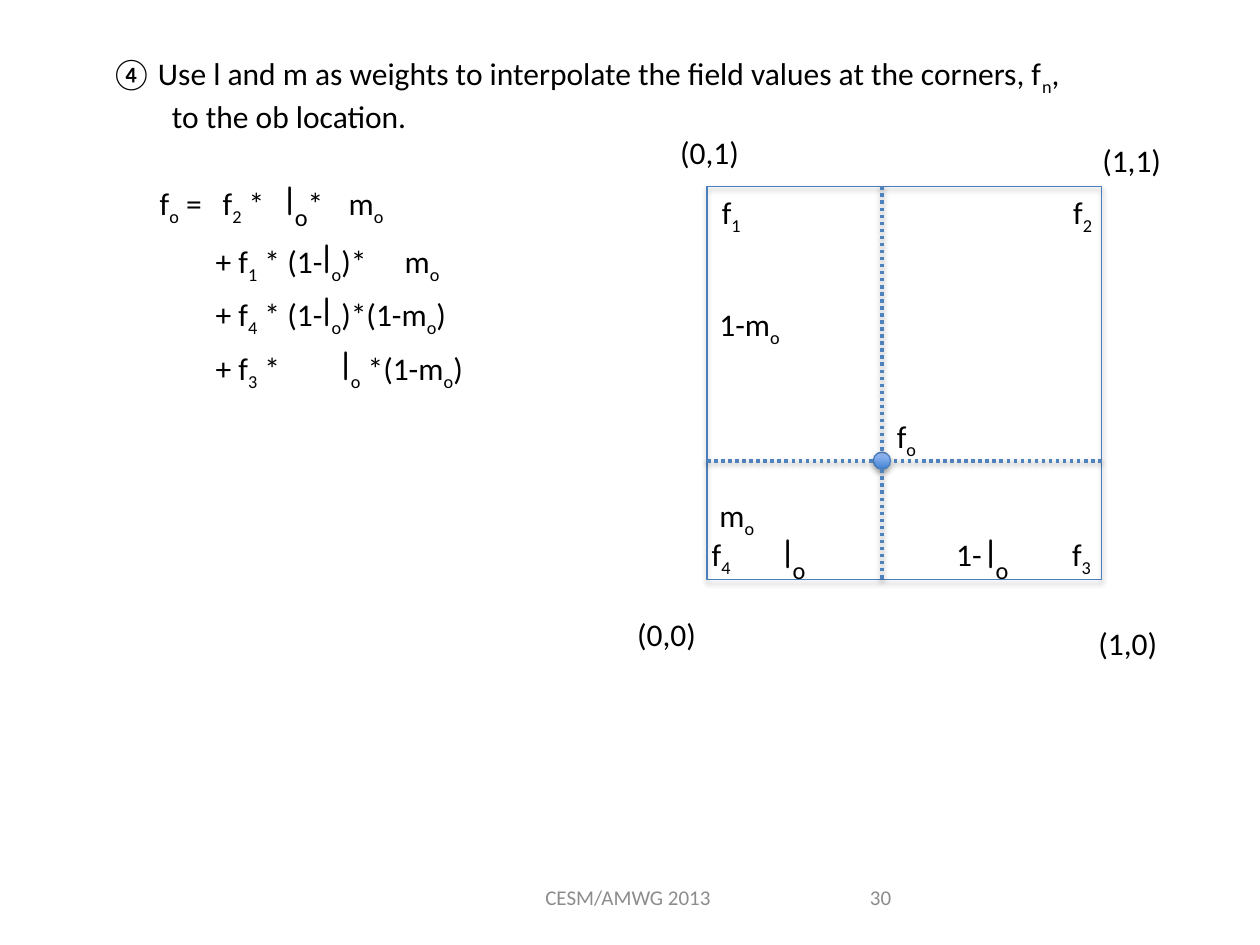
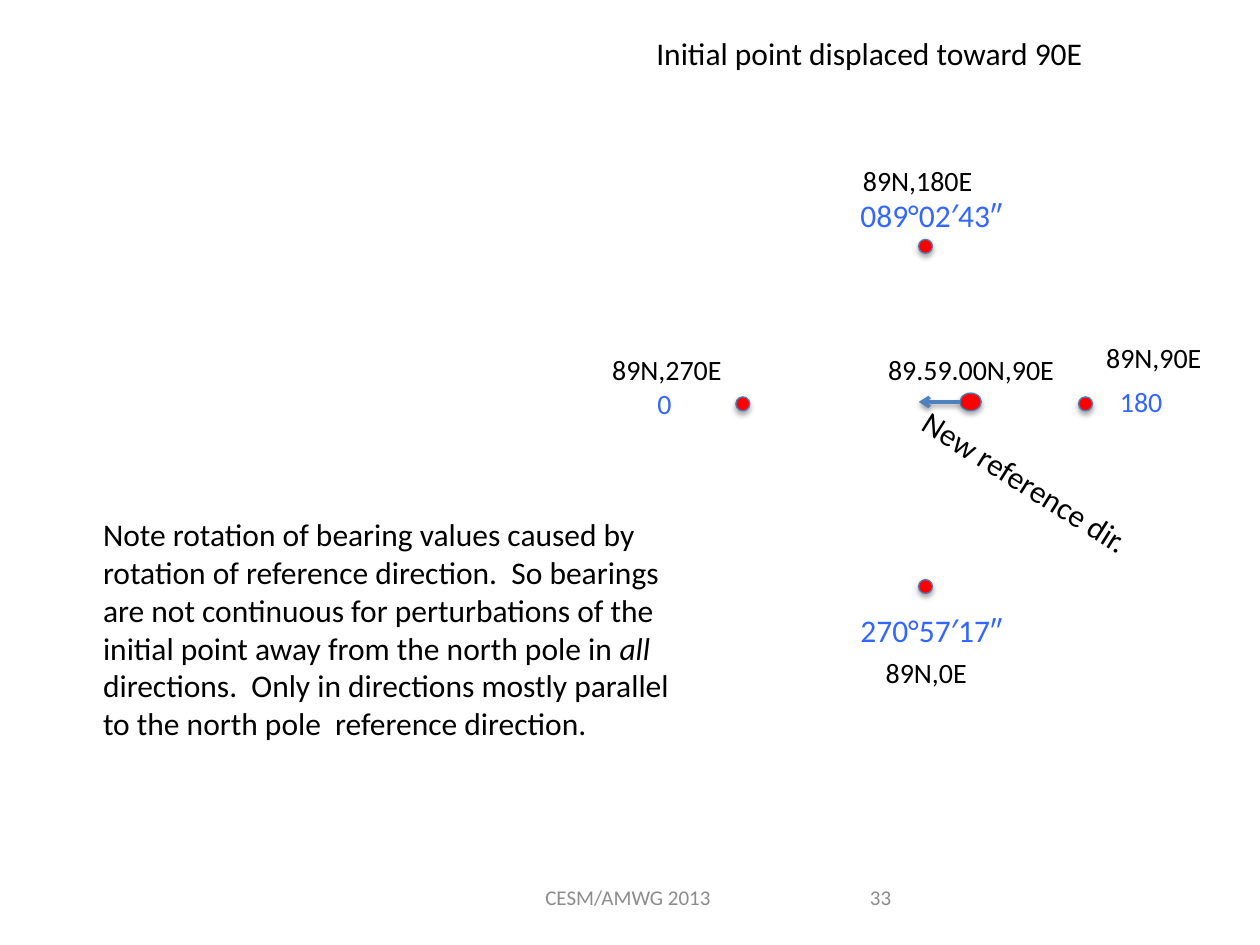
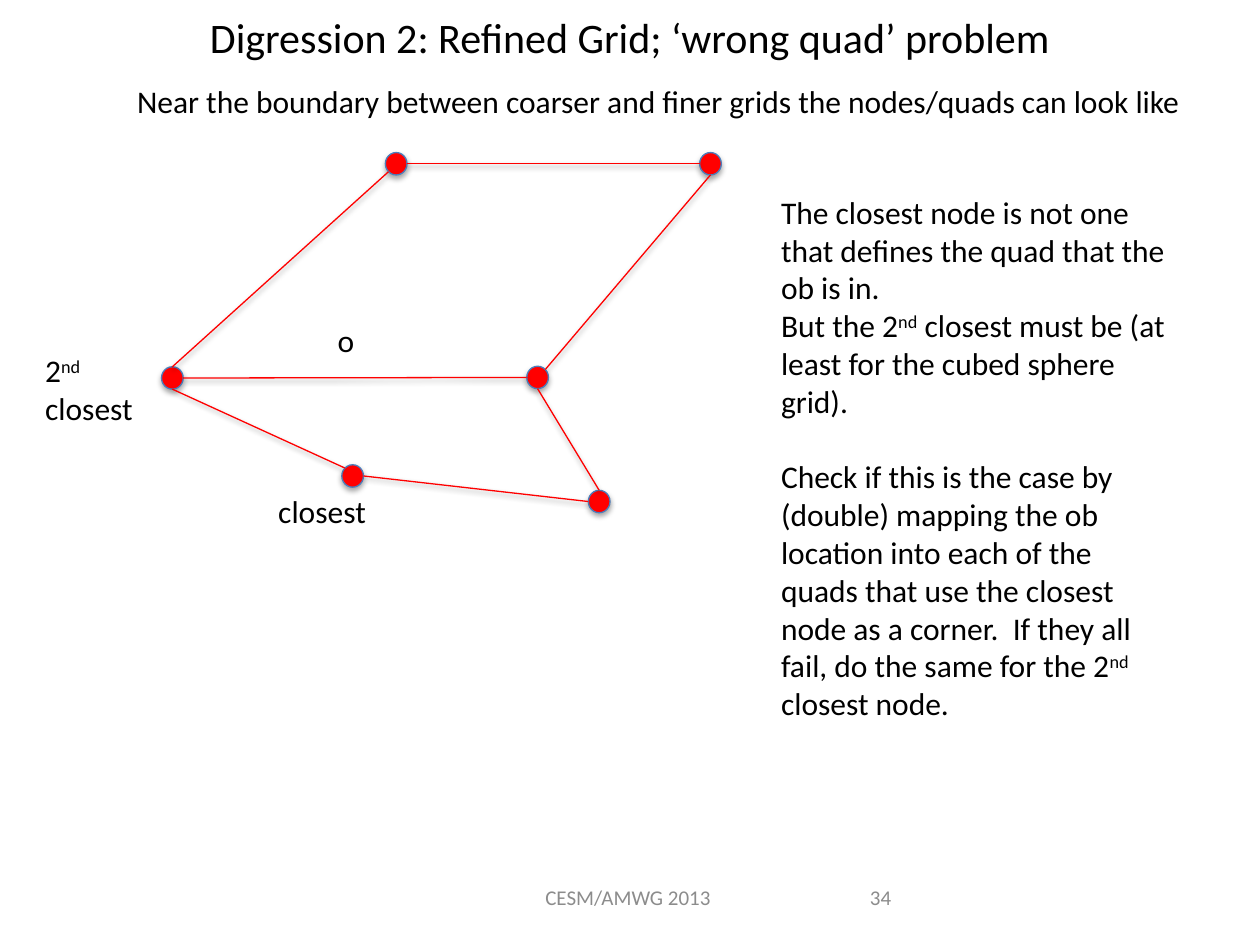
from lxml.etree import SubElement
from pptx import Presentation
from pptx.dml.color import RGBColor
from pptx.enum.dml import MSO_LINE
from pptx.enum.shapes import MSO_CONNECTOR, MSO_SHAPE
from pptx.enum.text import MSO_ANCHOR, PP_ALIGN
from pptx.oxml.ns import qn
from pptx.util import Pt

COLORS = {
    "text": "000000",
    "footer": "8C8C8C",
    "bearing": "3366FF",
    "node": "FF0000",
    "outline": "4B7EBC",
    "guide": "4F81BD",
    "ob dark": "3F80CE",
    "ob light": "A4C4FF",
}
FONT = "Calibri"
SYMBOL_FONT = "Comic Neue"
LABEL_HEIGHT = 28.8
NODE_SIZE = (12.4, 12.8)
DIRECTIONS = {
    "top": (0, -1),
    "right": (1, 0),
    "bottom": (0, 1),
    "left": (-1, 0),
    "top left": (-0.71, -0.71),
    "top right": (0.71, -0.71),
    "bottom left": (-0.71, 0.71),
}


def color(name):
    """Return the named colour."""
    return RGBColor.from_string(COLORS[name])


def subscript(text, size=None):
    """Describe a lowered run."""
    return {"text": text, "baseline": -25, "size": size}


def superscript(text):
    """Describe a raised run."""
    return {"text": text, "baseline": 30}


def symbol(text):
    """Describe a run in the large symbol font."""
    return {"text": text, "font": SYMBOL_FONT, "size": 24}


def italic(text):
    """Describe an italic run."""
    return {"text": text, "italic": True}


def add_run(paragraph, piece):
    """Add a plain string or a described run to a paragraph."""
    style = {"text": piece} if isinstance(piece, str) else piece
    run = paragraph.add_run()
    run.text = style["text"]
    if style.get("size"):
        run.font.size = Pt(style["size"])
    if style.get("font"):
        run.font.name = style["font"]
    if style.get("italic"):
        run.font.italic = True
    if style.get("baseline"):
        run.font._element.set("baseline", str(style["baseline"] * 1000))


def add_text(slide, left, top, width, height, paragraphs, size=18, fill="text",
             align=PP_ALIGN.LEFT, anchor=MSO_ANCHOR.TOP, wrap=False):
    """Add a text box with one list of runs for each paragraph."""
    box = slide.shapes.add_textbox(Pt(left), Pt(top), Pt(width), Pt(height))
    frame = box.text_frame
    frame.word_wrap = wrap
    frame.vertical_anchor = anchor
    for index, pieces in enumerate(paragraphs):
        paragraph = frame.add_paragraph() if index else frame.paragraphs[0]
        paragraph.alignment = align
        paragraph.font.name = FONT
        paragraph.font.size = Pt(size)
        paragraph.font.color.rgb = color(fill)
        for piece in pieces:
            add_run(paragraph, piece)
    return box


def add_label(slide, left, top, width, *pieces, **options):
    """Add a one-line label."""
    return add_text(slide, left, top, width, LABEL_HEIGHT, [pieces], **options)


def indent(paragraph, left, first=0):
    """Set the left margin and first-line indent of a paragraph."""
    properties = paragraph._p.get_or_add_pPr()
    properties.set("marL", str(Pt(left)))
    properties.set("indent", str(Pt(first)))
    return properties


def insert_property(properties, tag):
    """Insert a child ahead of the default run properties."""
    child = SubElement(properties, qn(tag))
    default = properties.find(qn("a:defRPr"))
    if default is not None:
        default.addprevious(child)
    return child


def set_tabs(properties, stops):
    """Set left tab stops on a paragraph."""
    tabs = insert_property(properties, "a:tabLst")
    for stop in stops:
        SubElement(tabs, qn("a:tab"), pos=str(Pt(stop)), algn="l")


def add_shadow(shape, distance, opacity):
    """Add a soft downward shadow."""
    effects = SubElement(shape._element.spPr, qn("a:effectLst"))
    shadow = SubElement(effects, qn("a:outerShdw"), blurRad=str(Pt(3.1)),
                        dist=str(Pt(distance)), dir="5400000", rotWithShape="0")
    black = SubElement(shadow, qn("a:srgbClr"), val=COLORS["text"])
    SubElement(black, qn("a:alpha"), val=str(opacity * 1000))


def add_outlined(slide, kind, left, top, width, height):
    """Add a thinly outlined, unfilled shape with a shadow."""
    shape = slide.shapes.add_shape(kind, Pt(left), Pt(top), Pt(width), Pt(height))
    shape.fill.background()
    shape.line.color.rgb = color("outline")
    shape.line.width = Pt(0.75)
    add_shadow(shape, 1.8, 35)
    return shape


def add_node(slide, center, size):
    """Add a red node around its center."""
    (x, y), (width, height) = center, size
    node = add_outlined(slide, MSO_SHAPE.OVAL, x - width / 2, y - height / 2,
                        width, height)
    node.fill.solid()
    node.fill.fore_color.rgb = color("node")
    return node


def add_line(slide, start, end, stroke, width, dash=None, arrow=False):
    """Add a straight line with a shadow."""
    line = slide.shapes.add_connector(
        MSO_CONNECTOR.STRAIGHT, *(Pt(value) for value in (*start, *end)))
    line.line.color.rgb = color(stroke)
    line.line.width = Pt(width)
    if dash:
        line.line.dash_style = dash
    if arrow:
        SubElement(line.line._get_or_add_ln(), qn("a:tailEnd"), type="arrow")
    add_shadow(line, 1.6, 38)


def add_slide(presentation, number):
    """Add a blank slide with its footer and number."""
    slide = presentation.slides.add_slide(presentation.slide_layouts[6])
    style = {"size": 12, "fill": "footer", "anchor": MSO_ANCHOR.MIDDLE, "wrap": True}
    add_label(slide, 289.4, 498.2, 139, "CESM/AMWG 2013", align=PP_ALIGN.CENTER, **style)
    add_label(slide, 481.7, 498.2, 34.6, str(number), align=PP_ALIGN.RIGHT, **style)
    return slide


def add_equation(slide):
    """Add the weighted sum with its terms aligned by tab stops."""
    weight = [symbol("l"), subscript("o")]
    lines = [
        ["f", subscript("o"), " =\tf", subscript("2"), " *\t", symbol("l"),
         subscript("o", 24), "*\tm", subscript("o")],
        ["+ f", subscript("1"), " * (1-", *weight, ")*\tm", subscript("o")],
        ["+ f", subscript("4"), " * (1-", *weight, ")*(1-m", subscript("o"), ")"],
        ["+ f", subscript("3"), " *\t", *weight, " *(1-m", subscript("o"), ")"],
    ]
    layout = [(0, [44, 92.5, 135]), (32, [139]), (32, []), (32, [94.5])]
    box = add_text(slide, 84.2, 95.8, 200, 145, lines, wrap=True)
    for paragraph, (left, stops) in zip(box.text_frame.paragraphs, layout):
        properties = indent(paragraph, left)
        if stops:
            set_tabs(properties, stops)


def add_unit_square(slide):
    """Add the unit square, the ob inside it and the dotted guides."""
    left, top, right, bottom = 404, 106.5, 629.5, 331
    x, y, radius = 504, 263.3, 4.9
    add_outlined(slide, MSO_SHAPE.RECTANGLE, left, top, right - left, bottom - top)
    ob = add_outlined(slide, MSO_SHAPE.OVAL, x - radius, y - radius,
                      2 * radius, 2 * radius)
    ob.fill.gradient()
    ob.fill.gradient_angle = 90
    for stop, name in zip(ob.fill.gradient_stops, ("ob dark", "ob light")):
        stop.color.rgb = color(name)
    guides = [
        ((x, top), (x, y - radius)),
        ((right, y), (x + radius, y)),
        ((x, y + radius), (x, bottom)),
        ((left, y), (x - radius, y)),
    ]
    for start, end in guides:
        add_line(slide, start, end, "guide", 2, MSO_LINE.ROUND_DOT)


def build_interpolation(presentation):
    """Build the slide on interpolating to the ob location."""
    slide = add_slide(presentation, 30)
    step = add_text(slide, 56.2, 27.4, 559.4, 51, [
        ["Use l and m as weights to interpolate the field values at the corners, f",
         subscript("n"), ","],
        ["to the ob location."],
    ], wrap=True)
    first, second = step.text_frame.paragraphs
    number = insert_property(indent(first, 27, -27), "a:buAutoNum")
    number.set("type", "circleNumDbPlain")
    number.set("startAt", "4")
    indent(second, 35)
    add_equation(slide)
    add_unit_square(slide)

    corners = [("(0,0)", 357, 347.8), ("(1,0)", 620.6, 352.8),
               ("(1,1)", 622.8, 77), ("(0,1)", 381.6, 72.7)]
    for text, left, top in corners:
        add_label(slide, left, top, 48.2, text)
    values = [("f", "1", 405.4, 106.6, 26), ("f", "2", 606.2, 106.6, 26),
              ("f", "3", 605.5, 302.4, 26), ("f", "4", 399.6, 302.4, 26),
              ("f", "o", 505.4, 234.7, 26.6), ("m", "o", 404, 280, 35.3),
              ("1-m", "o", 404, 170.6, 50.4)]
    for base, index, left, top, width in values:
        add_label(slide, left, top, width, base, subscript(index))
    for left in (440.6, 556.6):
        add_label(slide, left, 297.4, 36, symbol("l"), subscript("o", 24))
    add_label(slide, 539.3, 302.4, 29.5, "1-")


def build_bearings(presentation):
    """Build the slide on bearings from a displaced point."""
    slide = add_slide(presentation, 33)
    add_label(slide, 368, 15.8, 261.4, "Initial point displaced toward 90E")
    add_node(slide, (554.7, 229.7), (12.2, 10.1))
    for center in [(424.5, 230.8), (528.9, 335.2), (528.9, 140.8), (620.3, 230.8)]:
        add_node(slide, center, (8, 8))
    add_line(slide, (548.6, 229.7), (525, 229.7), "guide", 2, arrow=True)
    places = [("89N,180E", 486, 90, 77.8), ("89N,0E", 499, 370.8, 61.2),
              ("89N,270E", 342.7, 198, 77.8), ("89.59.00N,90E", 500.4, 198, 110.9),
              ("89N,90E", 625, 190.8, 70)]
    for text, left, top, width in places:
        add_label(slide, left, top, width, text, size=16)
    bearings = [("270°57′17″", 484.6, 345.6, 96.5, 18),
                ("089°02′43″", 484.6, 108.7, 96.5, 18),
                ("0", 368.6, 217.4, 23, 16), ("180", 632.9, 216, 38.9, 16)]
    for text, left, top, width, size in bearings:
        add_label(slide, left, top, width, text, size=size, fill="bearing")
    direction = add_label(slide, 511.2, 263.5, 157.7, "New reference dir.")
    direction.rotation = 32.2
    add_text(slide, 51.8, 290.9, 339.1, 138.2, [[
        "Note rotation of bearing values caused by rotation of reference direction.  "
        "So bearings are not continuous for perturbations of the initial point away "
        "from the north pole in ", italic("all "),
        "directions.  Only in directions mostly parallel to the north pole  "
        "reference direction."]], wrap=True)


def node_edge(center, direction):
    """Return the point of a node's rim that lies in a direction."""
    return tuple(middle + size / 2 * step for middle, size, step
                 in zip(center, NODE_SIZE, DIRECTIONS[direction]))


def build_wrong_quad(presentation):
    """Build the slide on the wrong quad problem."""
    slide = add_slide(presentation, 34)
    add_text(slide, 36, 0, 648, 41.8,
             [["Digression 2: Refined Grid; ‘wrong quad’ problem"]], size=24,
             align=PP_ALIGN.CENTER, anchor=MSO_ANCHOR.MIDDLE, wrap=True)
    add_label(slide, 71.3, 43.2, 617.8, "Near the boundary between coarser and "
              "finer grids the nodes/quads can look like")
    nodes = {
        "second": (98.5, 216),
        "upper left": (226.4, 93.6),
        "upper right": (406, 93.6),
        "shared": (307.2, 215.7),
        "closest": (201.5, 272),
        "lower right": (342.4, 286.6),
    }
    for center in nodes.values():
        add_node(slide, center, NODE_SIZE)
    edges = [
        ("upper left", "right", "upper right", "left"),
        ("shared", "top right", "upper right", "bottom"),
        ("closest", "right", "lower right", "left"),
        ("shared", "bottom", "lower right", "top"),
        ("second", "bottom", "closest", "top left"),
        ("second", "right", "shared", "left"),
        ("second", "top", "upper left", "bottom left"),
    ]
    for start, leaving, end, arriving in edges:
        add_line(slide, node_edge(nodes[start], leaving),
                 node_edge(nodes[end], arriving), "node", 0.75)
    add_label(slide, 185.8, 180, 23, "o")
    add_label(slide, 151.9, 277.9, 65.5, "closest")
    add_text(slide, 18.7, 197.3, 65.5, 51, [["2", superscript("nd")], ["closest"]])
    explanation = add_text(slide, 439.2, 106.6, 236.9, 312.5, [
        ["The closest node is not one"],
        ["that defines the quad that the"],
        ["ob is in."],
        ["But the 2", superscript("nd"),
         " closest must be (at least for the cubed sphere grid)."],
        ["Check if this is the case by (double) mapping the ob location into each of "
         "the quads that use the closest node as a corner.  If they all fail, do the "
         "same for the 2", superscript("nd"), " closest node."],
    ], wrap=True)
    explanation.text_frame.paragraphs[-1].space_before = Pt(21.6)


def main():
    """Build and save the presentation."""
    presentation = Presentation()
    presentation.slide_width = Pt(720)
    presentation.slide_height = Pt(540)
    build_interpolation(presentation)
    build_bearings(presentation)
    build_wrong_quad(presentation)
    presentation.save("out.pptx")


if __name__ == "__main__":
    main()
